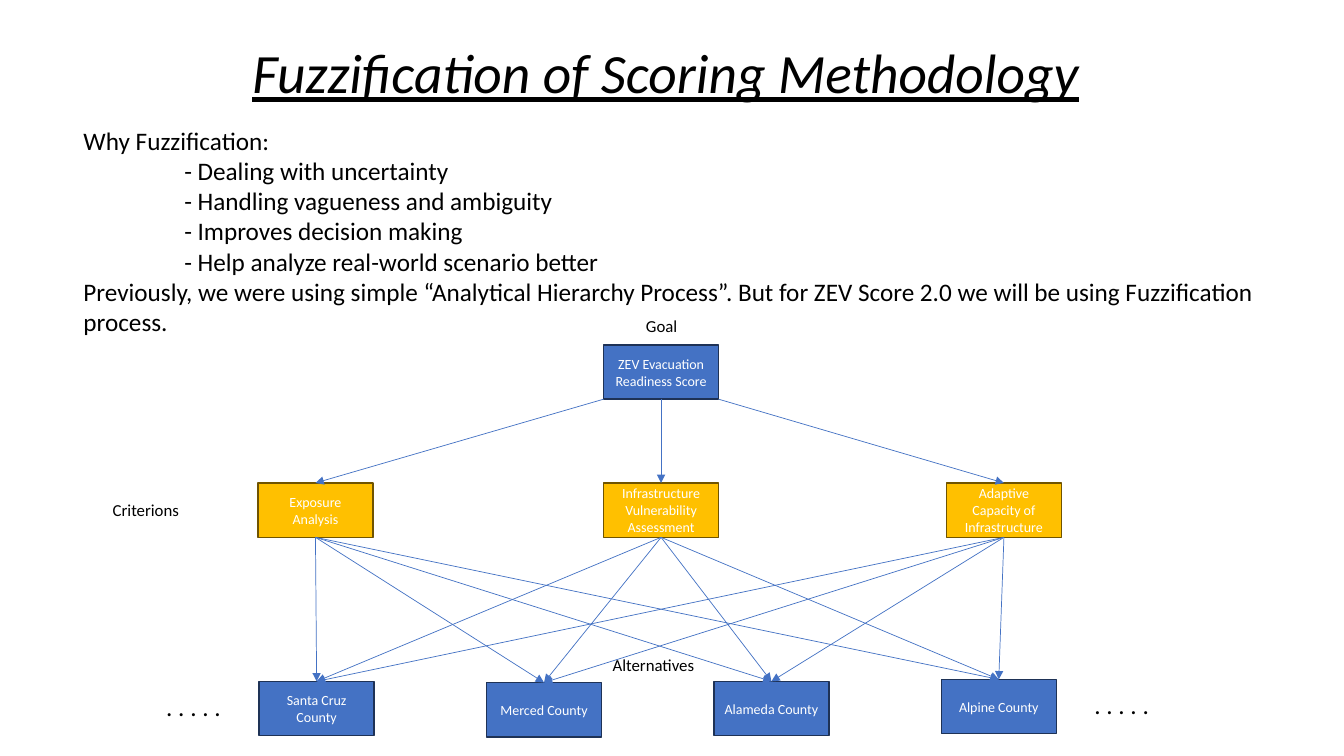
from lxml import etree
from pptx import Presentation
from pptx import util as u
from pptx.dml import color
from pptx.enum import shapes, text
from pptx.oxml import ns

BLUE, NAVY = "4472C4", "1E3256"
AMBER, BROWN = "FFC000", "705400"
BLACK, WHITE = "000000", "FFFFFF"


def rgb(value):
    return color.RGBColor.from_string(value)


class HierarchySlide:
    """Holds the style and the current slide of the hierarchy diagram."""

    font = "Calibri"
    node_width, node_height = 2.9, 1.37

    def __init__(self, presentation):
        self.slide = presentation.slides.add_slide(presentation.slide_layouts[0])

    def style(self, paragraph, size, hue, **emphasis):
        for run in paragraph.runs:
            run.font.name = self.font
            run.font.size = u.Pt(size)
            run.font.color.rgb = rgb(hue)
            for name, value in emphasis.items():
                setattr(run.font, name, value)

    def place(self, holder, left, top, width, height):
        holder.left, holder.top = u.Cm(left), u.Cm(top)
        holder.width, holder.height = u.Cm(width), u.Cm(height)
        holder.text_frame.auto_size = text.MSO_AUTO_SIZE.NONE

    def title(self, wording, *area):
        heading = self.slide.shapes.title
        self.place(heading, *area)
        heading.text_frame.text = wording
        heading.text_frame.vertical_anchor = text.MSO_ANCHOR.BOTTOM
        line = heading.text_frame.paragraphs[0]
        line.alignment = text.PP_ALIGN.CENTER
        line.line_spacing = 0.9
        self.style(line, 39.6, BLACK, italic=True, underline=True)

    def body(self, lines, *area):
        reasons = self.slide.placeholders[1]
        self.place(reasons, *area)
        reasons.text_frame.text = "\n".join(lines)
        reasons.text_frame.vertical_anchor = text.MSO_ANCHOR.TOP
        for line in reasons.text_frame.paragraphs:
            indent = 2.54 if line.text.startswith("-") else 0
            properties = line._p.get_or_add_pPr()
            properties.set("marL", str(u.Cm(indent)))
            properties.set("indent", "0")
            line.alignment = text.PP_ALIGN.LEFT
            line.space_before = u.Pt(0)
            line.line_spacing = 1.0
            self.style(line, 18, BLACK)

    def node(self, wording, center, top, fill, border):
        box = self.slide.shapes.add_shape(
            shapes.MSO_SHAPE.RECTANGLE,
            u.Cm(center - self.node_width / 2), u.Cm(top),
            u.Cm(self.node_width), u.Cm(self.node_height))
        box.shadow.inherit = False
        box.fill.solid()
        box.fill.fore_color.rgb = rgb(fill)
        box.line.color.rgb = rgb(border)
        box.line.width = u.Pt(1)
        box.text_frame.text = wording
        box.text_frame.vertical_anchor = text.MSO_ANCHOR.MIDDLE
        box.text_frame.paragraphs[0].alignment = text.PP_ALIGN.CENTER
        self.style(box.text_frame.paragraphs[0], 10, WHITE)

    def label(self, wording, left, top, width, height, size):
        caption = self.slide.shapes.add_textbox(
            u.Cm(left), u.Cm(top), u.Cm(width), u.Cm(height))
        caption.text_frame.word_wrap = False
        caption.text_frame.text = wording
        self.style(caption.text_frame.paragraphs[0], size, BLACK)

    def arrow(self, start_x, start_y, end_x, end_y):
        link = self.slide.shapes.add_connector(
            shapes.MSO_CONNECTOR.STRAIGHT,
            u.Cm(start_x), u.Cm(start_y), u.Cm(end_x), u.Cm(end_y))
        link.line.color.rgb = rgb(BLUE)
        link.line.width = u.Pt(0.5)
        properties = link.element.spPr
        outline = properties.find(ns.qn("a:ln"))
        etree.SubElement(outline, ns.qn("a:tailEnd"), type="triangle")
        etree.SubElement(properties, ns.qn("a:effectLst"))


def main():
    presentation = Presentation()
    presentation.slide_width = u.Cm(33.87)
    presentation.slide_height = u.Cm(19.05)
    page = HierarchySlide(presentation)

    page.title("Fuzzification of Scoring Methodology", 4.24, 0.91, 25.07, 1.88)
    page.body([
        "Why Fuzzification:",
        "- Dealing with uncertainty",
        "- Handling vagueness and ambiguity",
        "- Improves decision making",
        "- Help analyze real-world scenario better",
        "Previously, we were using simple “Analytical Hierarchy Process”. "
        "But for ZEV Score 2.0 we will be using Fuzzification process.",
    ], 1.85, 3.02, 31.24, 5.64)

    goal_x, goal_y, criteria_y = 16.66, 8.69, 12.17
    criteria = [
        ("Exposure Analysis", 7.95),
        ("Infrastructure Vulnerability Assessment", goal_x),
        ("Adaptive Capacity of Infrastructure", 25.3),
    ]
    counties = [
        ("Santa Cruz County", 17.17),
        ("Merced County", 17.2),
        ("Alameda County", 17.17),
        ("Alpine County", 17.12),
    ]
    first_county_x, county_step = 7.98, 5.73

    page.node("ZEV Evacuation Readiness Score", goal_x, goal_y, BLUE, NAVY)
    for side, (criterion, criterion_x) in enumerate(criteria, start=-1):
        page.node(criterion, criterion_x, criteria_y, AMBER, BROWN)
        page.arrow(goal_x + side * page.node_width / 2,
                   goal_y + page.node_height, criterion_x, criteria_y)

    for index, (county, county_y) in enumerate(counties):
        county_x = first_county_x + index * county_step
        page.node(county, county_x, county_y, BLUE, NAVY)
        for _, criterion_x in criteria:
            page.arrow(criterion_x, criteria_y + page.node_height,
                       county_x, county_y)

    page.label("Goal", 16.03, 7.82, 1.32, 0.76, 12)
    page.label("Criterions", 2.59, 12.47, 2.21, 0.76, 12)
    page.label("Alternatives", 15.19, 16.38, 2.59, 0.76, 12)
    for dots_x, dots_y in [(3.94, 17.3), (27.33, 17.25)]:
        page.label(". . . . .", dots_x, dots_y, 1.91, 1.02, 18)

    presentation.save("out.pptx")


if __name__ == "__main__":
    main()
